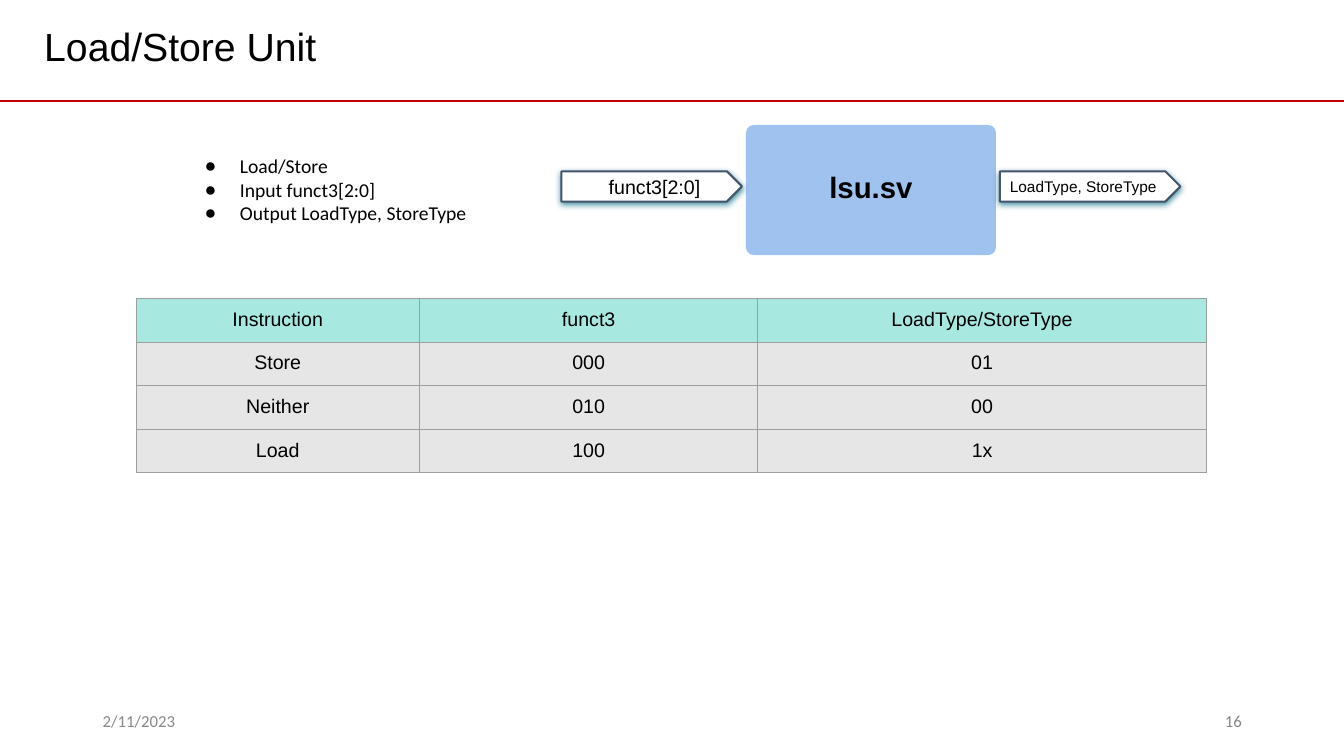
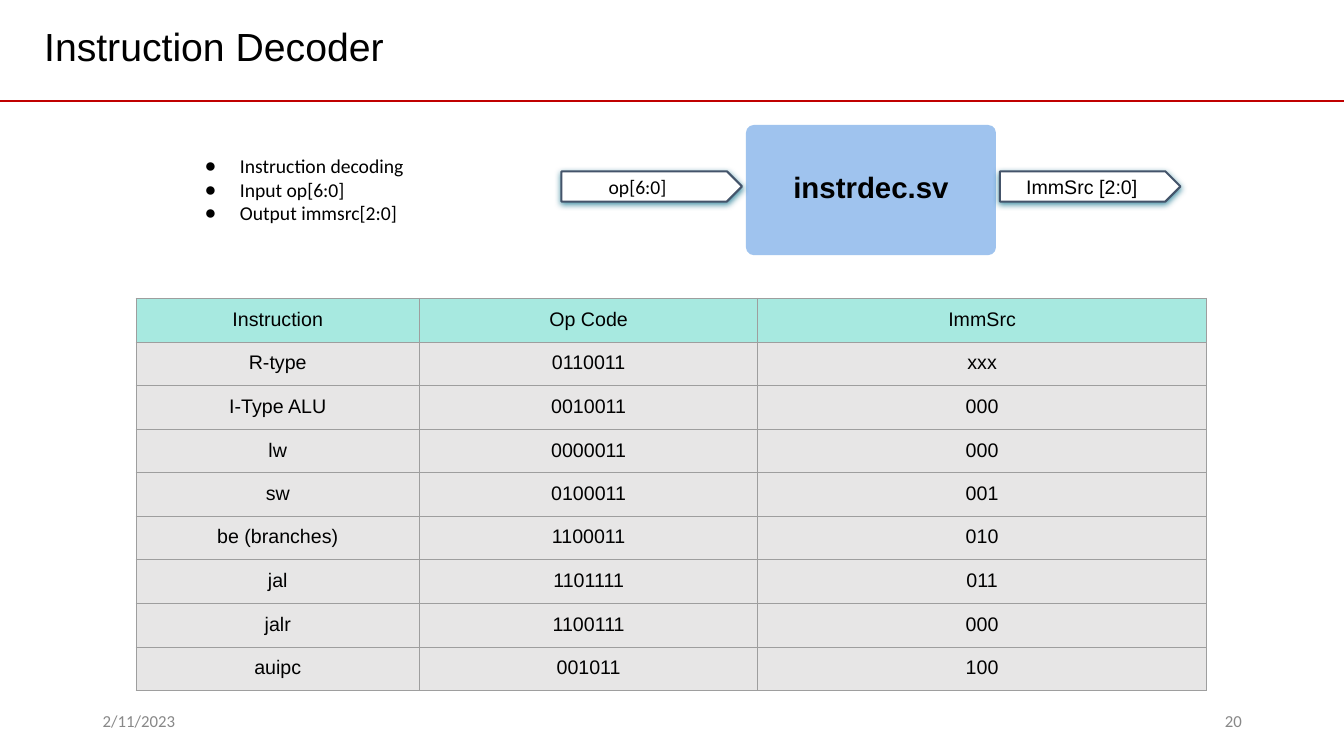
"""Build two slides that describe processor modules, their ports and truth tables."""
from lxml import etree
from pptx import Presentation
from pptx import util as u
from pptx.dml.color import RGBColor
from pptx.enum import shapes, text
from pptx.oxml import ns

Cm, Pt = u.Cm, u.Pt
BLACK = RGBColor(0x00, 0x00, 0x00)
WHITE = RGBColor(0xFF, 0xFF, 0xFF)
GREY = RGBColor(0x88, 0x88, 0x88)
RED = RGBColor(0xC0, 0x00, 0x00)
SLATE = RGBColor(0x44, 0x54, 0x6A)
TEAL = RGBColor(0x00, 0x69, 0x85)
BLUE = RGBColor(0x9F, 0xC3, 0xEE)
HEADER_FILL = RGBColor(0xA7, 0xE9, 0xE0)
ROW_FILL = RGBColor(0xE7, 0xE6, 0xE6)
BORDER = RGBColor(0x9E, 0x9E, 0x9E)

DATE = "2/11/2023"
SLIDE_WIDTH, SLIDE_HEIGHT = 33.87, 19.05
RULE_TOP = 2.54
TITLE_BOX = (0.86, 0.43, 21.79, 2.11)
BODY_BOX = (4.52, 3.63, 8.15, 2.31)
DATE_BOX = (2.34, 17.65, 7.62, 1.02)
NUMBER_BOX = (23.93, 17.65, 7.62, 1.02)
MODULE_BOX = (18.8, 3.15, 6.3, 3.28)
INPUT_BOX = (14.15, 4.32, 4.55, 0.76)
OUTPUT_BOX = (25.2, 4.32, 4.55, 0.76)
TABLE_LEFT, TABLE_TOP = 3.43, 7.52
COLUMN_WIDTHS = (7.14, 8.53, 11.3)
ROW_HEIGHT, LOW_ROW_HEIGHT, LOW_ROWS = 1.1, 1.06, (3, 4)

SLIDES = [
    {
        "title": "Load/Store Unit",
        "number": "16",
        "bullets": ["Load/Store", "Input funct3[2:0]", "Output LoadType, StoreType"],
        "module": "lsu.sv",
        "input": {"label": "funct3[2:0]", "size": 14, "font": "Arial", "inset": 1.19},
        "output": {"label": "LoadType, StoreType", "size": 11, "font": "Arial", "inset": 0.25},
        "table": [
            ("Instruction", "funct3", "LoadType/StoreType"),
            ("Store", "000", "01"),
            ("Neither", "010", "00"),
            ("Load", "100", "1x"),
        ],
    },
    {
        "title": "Instruction Decoder",
        "number": "20",
        "bullets": ["Instruction decoding", "Input op[6:0]", "Output immsrc[2:0]"],
        "module": "instrdec.sv",
        "input": {"label": "op[6:0]", "size": 14, "font": "Calibri", "inset": 1.19},
        "output": {"label": "ImmSrc [2:0]", "size": 14, "font": "Arial", "inset": 0.66},
        "table": [
            ("Instruction", "Op Code", "ImmSrc"),
            ("R-type", "0110011", "xxx"),
            ("I-Type ALU", "0010011", "000"),
            ("lw", "0000011", "000"),
            ("sw", "0100011", "001"),
            ("be (branches)", "1100011", "010"),
            ("jal", "1101111", "011"),
            ("jalr", "1100111", "000"),
            ("auipc", "001011", "100"),
        ],
    },
]


def cm_box(box):
    return [Cm(length) for length in box]


def add_xml(parent, tag, **attributes):
    element = etree.SubElement(parent, ns.qn(tag))
    for name, value in attributes.items():
        element.set(name, str(value))
    return element


def place(shape, box):
    shape.left, shape.top, shape.width, shape.height = cm_box(box)


def format_text(frame, size, font="Arial", color=BLACK, bold=False, align=text.PP_ALIGN.LEFT):
    for paragraph in frame.paragraphs:
        paragraph.alignment = align
        for run in paragraph.runs:
            run.font.size = Pt(size)
            run.font.name = font
            run.font.bold = bold
            run.font.color.rgb = color


def prepare_layout(presentation):
    layout = presentation.slide_layouts[1]
    for placeholder, box in zip(layout.placeholders, (TITLE_BOX, BODY_BOX)):
        place(placeholder, box)
        frame = placeholder.text_frame
        frame.vertical_anchor = text.MSO_ANCHOR.TOP
        frame.auto_size = text.MSO_AUTO_SIZE.NONE
    return layout


def add_rule(slide):
    rule = slide.shapes.add_connector(
        shapes.MSO_CONNECTOR.STRAIGHT, 0, Cm(RULE_TOP), Cm(SLIDE_WIDTH), Cm(RULE_TOP))
    rule.line.color.rgb = RED
    rule.line.width = Pt(1.5)
    add_xml(rule._element.spPr, "a:effectLst")


def add_footer(slide, label, box, align):
    frame = slide.shapes.add_textbox(*cm_box(box)).text_frame
    frame.word_wrap = True
    frame.vertical_anchor = text.MSO_ANCHOR.MIDDLE
    frame.text = label
    format_text(frame, 12, "Calibri", GREY, align=align)


def fill_bullets(frame, bullets):
    frame.text = "\n".join(bullets)
    frame.margin_top = frame.margin_bottom = Cm(0.25)
    format_text(frame, 14, "Calibri")
    for paragraph in frame.paragraphs:
        paragraph.space_before = Pt(0)
        paragraph.line_spacing = 1.0
        properties = paragraph._p.get_or_add_pPr()
        properties.set("marL", str(Cm(1.27)))
        properties.set("indent", str(-Cm(0.89)))
        add_xml(add_xml(properties, "a:buClr"), "a:srgbClr", val=BLACK)
        add_xml(properties, "a:buFont", typeface="Arial")
        add_xml(properties, "a:buChar", char="●")


def add_block(slide, kind, box, fill, adjustment, label):
    block = slide.shapes.add_shape(kind, *cm_box(box))
    block.adjustments[0] = adjustment
    block.fill.solid()
    block.fill.fore_color.rgb = fill
    block.line.fill.background()
    block.shadow.inherit = False
    frame = block.text_frame
    frame.margin_left = frame.margin_right = frame.margin_top = frame.margin_bottom = 0
    frame.vertical_anchor = text.MSO_ANCHOR.MIDDLE
    frame.text = label
    return block


def add_module(slide, label):
    module = add_block(slide, shapes.MSO_SHAPE.ROUNDED_RECTANGLE, MODULE_BOX, BLUE, 0.06, label)
    module.text_frame.margin_bottom = Cm(0.15)
    format_text(module.text_frame, 21, bold=True, align=text.PP_ALIGN.CENTER)


def add_port(slide, port, box):
    arrow = add_block(slide, shapes.MSO_SHAPE.PENTAGON, box, WHITE, 0.5, port["label"])
    arrow.line.color.rgb = SLATE
    arrow.line.width = Pt(1.5)
    arrow.text_frame.margin_left = Cm(port["inset"])
    format_text(arrow.text_frame, port["size"], port["font"])
    effects = arrow._element.spPr.find(ns.qn("a:effectLst"))
    shadow = add_xml(effects, "a:outerShdw", blurRad=Pt(4.5), dist=Pt(1.5),
                     dir=5400000, algn="ctr", rotWithShape=0)
    add_xml(add_xml(shadow, "a:srgbClr", val=TEAL), "a:alpha", val=72000)


def format_cell(cell, label, fill):
    cell.text = label
    cell.margin_left = cell.margin_right = cell.margin_top = cell.margin_bottom = Cm(0.25)
    format_text(cell.text_frame, 14, align=text.PP_ALIGN.CENTER)
    properties = cell._tc.get_or_add_tcPr()
    for side in ("a:lnL", "a:lnR", "a:lnT", "a:lnB"):
        border = add_xml(properties, side, w=Pt(0.75))
        add_xml(add_xml(border, "a:solidFill"), "a:srgbClr", val=BORDER)
    cell.fill.solid()
    cell.fill.fore_color.rgb = fill


def add_truth_table(slide, rows):
    heights = [LOW_ROW_HEIGHT if index in LOW_ROWS else ROW_HEIGHT for index in range(len(rows))]
    box = (TABLE_LEFT, TABLE_TOP, sum(COLUMN_WIDTHS), sum(heights))
    table = slide.shapes.add_table(len(rows), len(COLUMN_WIDTHS), *cm_box(box)).table
    for column, width in zip(table.columns, COLUMN_WIDTHS):
        column.width = Cm(width)
    for index, (row, height, labels) in enumerate(zip(table.rows, heights, rows)):
        row.height = Cm(height)
        for cell, label in zip(row.cells, labels):
            format_cell(cell, label, ROW_FILL if index else HEADER_FILL)


def add_module_slide(presentation, layout, content):
    slide = presentation.slides.add_slide(layout)
    title, body = slide.placeholders
    title.text_frame.text = content["title"]
    format_text(title.text_frame, 28)
    fill_bullets(body.text_frame, content["bullets"])
    add_rule(slide)
    add_footer(slide, DATE, DATE_BOX, text.PP_ALIGN.LEFT)
    add_footer(slide, content["number"], NUMBER_BOX, text.PP_ALIGN.RIGHT)
    add_truth_table(slide, content["table"])
    add_module(slide, content["module"])
    add_port(slide, content["input"], INPUT_BOX)
    add_port(slide, content["output"], OUTPUT_BOX)


def main():
    presentation = Presentation()
    presentation.slide_width = Cm(SLIDE_WIDTH)
    presentation.slide_height = Cm(SLIDE_HEIGHT)
    layout = prepare_layout(presentation)
    for content in SLIDES:
        add_module_slide(presentation, layout, content)
    presentation.save("out.pptx")


if __name__ == "__main__":
    main()
